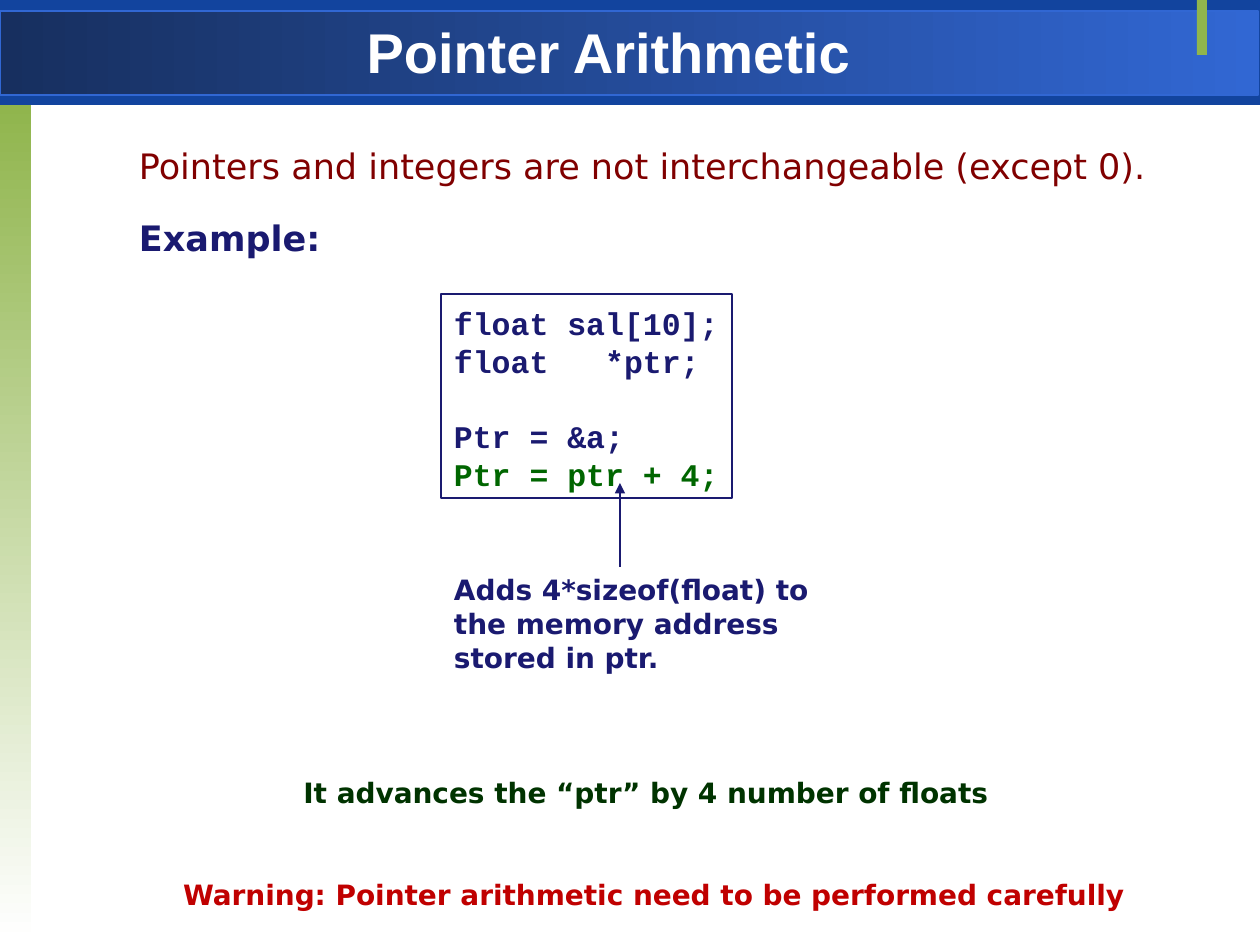
"""Build the Pointer Arithmetic slide."""
from lxml import etree
from pptx import Presentation
from pptx.dml.color import RGBColor
from pptx.enum import shapes, text
from pptx.oxml.ns import qn
from pptx.util import Emu, Pt

PX = 914400 // 126
SANS, MONO, HEAD = "DejaVu Sans", "Courier New", "Arial"
WHITE = RGBColor(0xFF, 0xFF, 0xFF)
BLUE = RGBColor(0x12, 0x44, 0x9E)
DARK_BLUE = RGBColor(0x17, 0x2F, 0x5F)
BRIGHT_BLUE = RGBColor(0x31, 0x67, 0xD3)
LIME = RGBColor(0x90, 0xB5, 0x4D)
NAVY = RGBColor(0x1A, 0x1A, 0x70)
MAROON = RGBColor(0x80, 0x00, 0x00)
GREEN = RGBColor(0x00, 0x66, 0x00)
DARK_GREEN = RGBColor(0x00, 0x33, 0x00)
RED = RGBColor(0xC0, 0x00, 0x00)

# box in px, fill colours, gradient angle, line colour
BARS = [
    ((0, 0, 1260, 105), [BLUE], 0, None),
    ((0, 11, 1258, 84), [DARK_BLUE, BRIGHT_BLUE], 0, BRIGHT_BLUE),
    ((0, 105, 31, 836), [LIME, WHITE], 270, None),
    ((1197, 0, 10, 55), [LIME], 0, None),
]
CODE_BOX = (441, 294, 291, 204)
ARROW = (620, 567, 620, 483)
LEADING = 21.6
CODE = [
    ("float sal[10];", {}),
    ("float   *ptr;", {}),
    ("Ptr = &a;", {"before": LEADING}),
    ("Ptr = ptr + 4;", {"color": GREEN}),
]
BODY = [
    ("Pointers and integers are not interchangeable (except 0).", {"color": MAROON, "bold": False}),
    ("Example:", {"before": 5}),
]
TEXTS = [
    ((136, 18, 945, 64), [("Pointer Arithmetic", {})],
     {"font": HEAD, "size": 32, "color": WHITE, "center": True, "margins": (0, 0)}),
    ((126, 118, 1071, 166), BODY, {"size": 20, "spacing": 1.5}),
    ((441, 567, 398, 115),
     [("Adds 4*sizeof(float) to the memory address stored in ptr.", {})], {}),
    ((168, 872, 972, 47),
     [("Warning: Pointer arithmetic need to be performed carefully", {})],
     {"color": RED, "center": True}),
    ((48, 770, 1196, 47),
     [("It advances the “ptr” by 4 number of floats", {})],
     {"color": DARK_GREEN, "center": True}),
]


def px(values):
    return [Emu(v * PX) for v in values]


def add_bar(s, box, colors, angle, line):
    sp = s.shapes.add_shape(shapes.MSO_SHAPE.RECTANGLE, *px(box))
    sp.shadow.inherit = False
    if len(colors) == 2:
        sp.fill.gradient()
        sp.fill.gradient_angle = angle
        for stop, color, position in zip(sp.fill.gradient_stops, colors, (0, 1)):
            stop.color.rgb = color
            stop.position = position
    elif colors:
        sp.fill.solid()
        sp.fill.fore_color.rgb = colors[0]
    else:
        sp.fill.background()
    if line:
        sp.line.color.rgb = line
        sp.line.width = Pt(0.75)
    else:
        sp.line.fill.background()
    return sp


def write(sp, lines, wrap=True, margins=(13, 6), **common):
    tf = sp.text_frame
    tf.word_wrap = wrap
    tf.vertical_anchor = text.MSO_ANCHOR.TOP
    tf.margin_left, tf.margin_top = px(margins)
    tf.margin_right, tf.margin_bottom = px(margins)
    for i, (words, own) in enumerate(lines):
        fmt = {**common, **own}
        p = tf.paragraphs[0] if i == 0 else tf.add_paragraph()
        p.alignment = text.PP_ALIGN.CENTER if fmt.get("center") else text.PP_ALIGN.LEFT
        p.line_spacing = fmt.get("spacing")
        if "before" in fmt:
            p.space_before = Pt(fmt["before"])
        r = p.add_run()
        r.text = words
        r.font.name = fmt.get("font", SANS)
        r.font.size = Pt(fmt.get("size", 16))
        r.font.bold = fmt.get("bold", True)
        r.font.color.rgb = fmt.get("color", NAVY)


def add_arrow(s, ends):
    c = s.shapes.add_connector(shapes.MSO_CONNECTOR.STRAIGHT, *px(ends))
    c.line.color.rgb = NAVY
    c.line.width = Pt(1.25)
    etree.SubElement(c.line._get_or_add_ln(), qn("a:tailEnd"), type="triangle")
    etree.SubElement(c._element.spPr, qn("a:effectLst"))


def main():
    prs = Presentation()
    prs.slide_width, prs.slide_height = px((1260, 945))
    s = prs.slides.add_slide(prs.slide_layouts[6])
    for bar in BARS:
        add_bar(s, *bar)
    write(add_bar(s, CODE_BOX, [], 0, NAVY), CODE, wrap=False, margins=(13, 10),
          font=MONO, size=18, spacing=Pt(LEADING))
    add_arrow(s, ARROW)
    for box, lines, fmt in TEXTS:
        write(s.shapes.add_textbox(*px(box)), lines, **fmt)
    prs.save("out.pptx")


if __name__ == "__main__":
    main()
